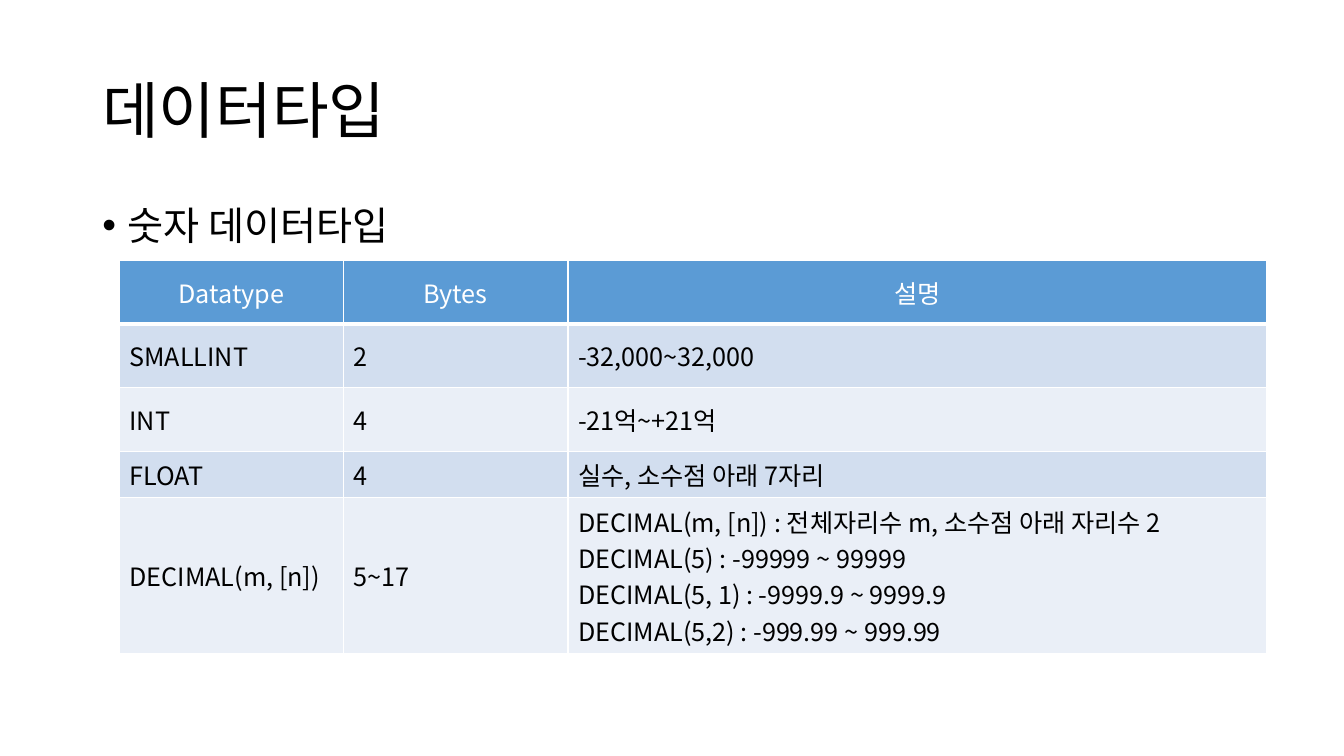
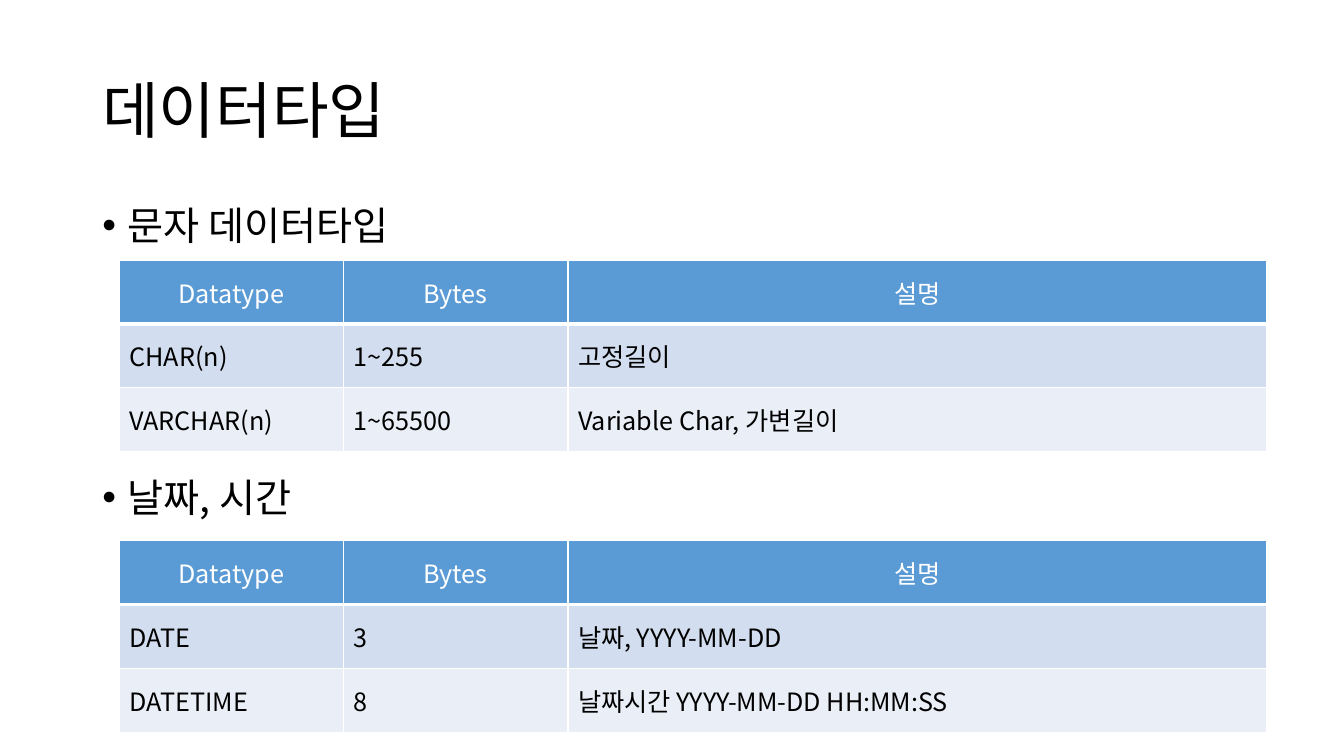
from dataclasses import dataclass
from typing import Any

from lxml import etree
from pptx import Presentation
from pptx import util as u
from pptx.dml import color as dml
from pptx.enum import text
from pptx.oxml import ns

# Shared style
FONT = "Noto Sans CJK KR"
BLACK, WHITE = "000000", "FFFFFF"
HEADER_BLUE = "5B9BD5"
BANDS = ("D2DEEF", "EAEFF7")
MARGIN_LEFT, BODY_WIDTH = 66, 828
TABLE_LEFT, TABLE_TOP = 85.3, 185.8
SECTION_PITCH = 200.5
HEADING_LINE = 36.5
COLUMN_WIDTHS = (160, 160.4, 499)
ROW_HEIGHT = 45.6
HEADER = ("Datatype", "Bytes", "설명")


@dataclass(frozen=True)
class Row:
    datatype: str
    size: str
    description: str
    height: float = ROW_HEIGHT


@dataclass(frozen=True)
class Section:
    heading: str
    rows: tuple[Row, ...]


@dataclass(frozen=True)
class Page:
    title: str
    sections: tuple[Section, ...]


# Content
PAGES = (
    Page("데이터타입", (
        Section("숫자 데이터타입", (
            Row("SMALLINT", "2", "-32,000~32,000"),
            Row("INT", "4", "-21억~+21억"),
            Row("FLOAT", "4", "실수, 소수점 아래 7자리", 33),
            Row("DECIMAL(m, [n])", "5~17",
                "DECIMAL(m, [n]) : 전체자리수 m, 소수점 아래 자리수 2\n"
                "DECIMAL(5) : -99999 ~ 99999\n"
                "DECIMAL(5, 1) : -9999.9 ~ 9999.9\n"
                "DECIMAL(5,2) : -999.99 ~ 999.99", 111),
        )),
    )),
    Page("데이터타입", (
        Section("문자 데이터타입", (
            Row("CHAR(n)", "1~255", "고정길이"),
            Row("VARCHAR(n)", "1~65500", "Variable Char, 가변길이"),
        )),
        Section("날짜, 시간", (
            Row("DATE", "3", "날짜, YYYY-MM-DD"),
            Row("DATETIME", "8", "날짜시간 YYYY-MM-DD HH:MM:SS"),
        )),
    )),
)


def rgb(value: str) -> dml.RGBColor:
    return dml.RGBColor.from_string(value)


def write(paragraph: Any, words: str, *, size: float, color: str = BLACK,
          centred: bool = False, line_spacing: float | None = None,
          space_before: float | None = None) -> None:
    """Put one formatted run into a paragraph."""
    run = paragraph.add_run()
    run.text = words
    run.font.size = u.Pt(size)
    run.font.name = FONT
    run.font.bold = False
    run.font.color.rgb = rgb(color)
    etree.SubElement(run.font._element, ns.qn("a:ea"), typeface=FONT)
    paragraph.alignment = text.PP_ALIGN.CENTER if centred else text.PP_ALIGN.LEFT
    if line_spacing is not None:
        paragraph.line_spacing = line_spacing
    if space_before is not None:
        paragraph.space_before = u.Pt(space_before)


def add_bullet(paragraph: Any, indent: float = 18) -> None:
    properties = paragraph._p.get_or_add_pPr()
    properties.set("marL", str(u.Pt(indent)))
    properties.set("indent", str(-u.Pt(indent)))
    etree.SubElement(properties, ns.qn("a:buFont"), typeface="Arial")
    etree.SubElement(properties, ns.qn("a:buChar"), char="•")


def add_frame(slide: Any, top: float, height: float, anchor: Any) -> Any:
    box = slide.shapes.add_textbox(
        u.Pt(MARGIN_LEFT), u.Pt(top), u.Pt(BODY_WIDTH), u.Pt(height))
    frame = box.text_frame
    frame.word_wrap = True
    frame.vertical_anchor = anchor
    return frame


def add_title(slide: Any, title: str) -> None:
    frame = add_frame(slide, 28.8, 104.4, text.MSO_ANCHOR.MIDDLE)
    write(frame.paragraphs[0], title, size=44, line_spacing=0.9)


def add_headings(slide: Any, sections: tuple[Section, ...]) -> None:
    frame = add_frame(slide, 143.8, 342.7, text.MSO_ANCHOR.TOP)
    for index, section in enumerate(sections):
        heading = frame.add_paragraph() if index else frame.paragraphs[0]
        write(heading, section.heading, size=28, line_spacing=0.9,
              space_before=SECTION_PITCH - HEADING_LINE if index else 10)
        add_bullet(heading)


def add_borders(cell: Any, bottom: float) -> None:
    properties = cell._tc.get_or_add_tcPr()
    for side, width in (("L", 1), ("R", 1), ("T", 1), ("B", bottom)):
        line = etree.SubElement(properties, ns.qn(f"a:ln{side}"), w=str(u.Pt(width)))
        fill = etree.SubElement(line, ns.qn("a:solidFill"))
        etree.SubElement(fill, ns.qn("a:srgbClr"), val=WHITE)


def fill_cell(cell: Any, words: str, *, fill: str, is_header: bool) -> None:
    add_borders(cell, bottom=3 if is_header else 1)
    cell.fill.solid()
    cell.fill.fore_color.rgb = rgb(fill)
    cell.vertical_anchor = text.MSO_ANCHOR.MIDDLE
    frame = cell.text_frame
    for index, line in enumerate(words.split("\n")):
        paragraph = frame.add_paragraph() if index else frame.paragraphs[0]
        write(paragraph, line, size=18, centred=is_header,
              color=WHITE if is_header else BLACK)


def add_datatype_table(slide: Any, rows: tuple[Row, ...], top: float) -> None:
    all_rows = (Row(*HEADER), *rows)
    table = slide.shapes.add_table(
        len(all_rows), len(HEADER), u.Pt(TABLE_LEFT), u.Pt(top),
        u.Pt(sum(COLUMN_WIDTHS)), u.Pt(sum(row.height for row in all_rows))).table
    for column, width in zip(table.columns, COLUMN_WIDTHS):
        column.width = u.Pt(width)
    for index, row in enumerate(all_rows):
        table.rows[index].height = u.Pt(row.height)
        is_header = index == 0
        fill = HEADER_BLUE if is_header else BANDS[(index - 1) % 2]
        for column, words in enumerate((row.datatype, row.size, row.description)):
            fill_cell(table.cell(index, column), words, fill=fill, is_header=is_header)


# Build the slides
deck = Presentation()
deck.slide_width, deck.slide_height = u.Pt(960), u.Pt(540)
for page in PAGES:
    slide = deck.slides.add_slide(deck.slide_layouts[6])
    add_title(slide, page.title)
    add_headings(slide, page.sections)
    for index, section in enumerate(page.sections):
        add_datatype_table(slide, section.rows, TABLE_TOP + index * SECTION_PITCH)
deck.save("out.pptx")
